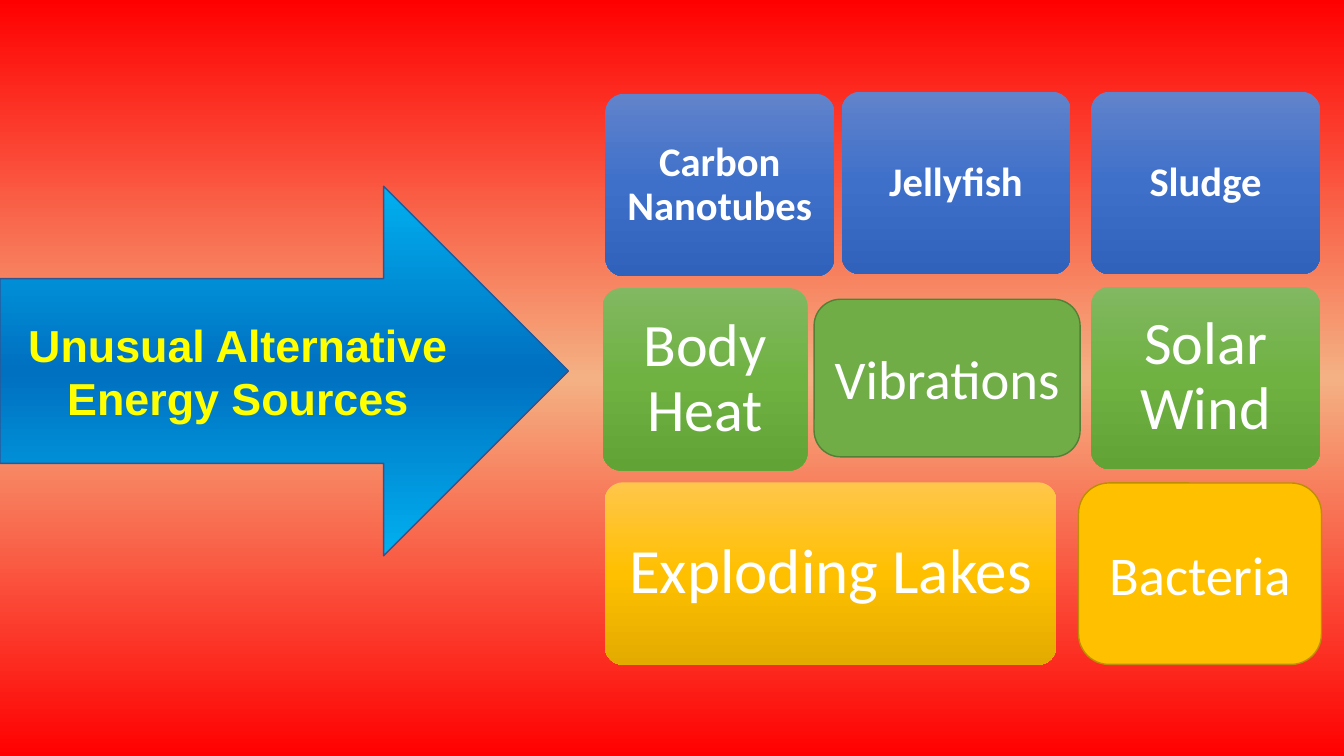
"""Build the slide on unusual alternative energy sources."""
from copy import deepcopy
from dataclasses import dataclass

from pptx import Presentation
from pptx.dml.color import RGBColor
from pptx.dml.fill import FillFormat
from pptx.enum.shapes import MSO_SHAPE
from pptx.enum.text import MSO_ANCHOR, PP_ALIGN
from pptx.shapes.autoshape import Shape
from pptx.slide import Slide
from pptx.util import Pt

COLORS = {
    "red": "FF0000", "peach": "F4B183",
    "sky": "00B0F0", "deep_blue": "0070C0", "navy": "325491",
    "blue_top": "6183CB", "blue": "3E70CA", "blue_low": "3062BB",
    "green_top": "81B861", "green": "6FB242", "green_low": "62A336",
    "gold_top": "FFC64B", "gold": "FFC000", "gold_low": "E3AB00",
    "leaf": "70AD47", "leaf_edge": "538035", "gold_edge": "BD8E00",
    "white": "FFFFFF", "yellow": "FFFF00",
}
BLUES = ("blue_top", "blue", "blue_low")
GREENS = ("green_top", "green", "green_low")
GOLDS = ("gold_top", "gold", "gold_low")


@dataclass(frozen=True)
class Tile:
    """A rounded energy source tile, measured in points."""
    text: str
    left: float
    top: float
    width: float
    height: float
    size: float
    fill: tuple[str, ...]
    line: str | None = None
    bold: bool = False
    spacing: float = 0.9
    corner: float = 0.1


TILES = [
    Tile("Exploding Lakes", 432, 344.5, 322.5, 130.3, 45, GOLDS),
    Tile("Body Heat", 430.6, 205.8, 146.2, 130.3, 43, GREENS),
    Tile("Carbon Nanotubes", 432.5, 67, 163.4, 130.3, 29, BLUES, bold=True),
    Tile("Jellyfish", 601.3, 65.5, 163.4, 130.3, 29, BLUES, bold=True),
    Tile("Solar Wind", 779.5, 204.8, 163.4, 130.3, 43, GREENS),
    Tile("Sludge", 779.5, 65.5, 163.4, 130.3, 29, BLUES, bold=True),
    Tile("Vibrations", 581.5, 213.8, 190, 112.5, 39, ("leaf",), "leaf_edge",
         spacing=1.0, corner=0.167),
    Tile("Bacteria", 770.4, 345, 173.5, 129.6, 39, ("gold",), "gold_edge",
         spacing=1.0, corner=0.167),
]


def rgb(name: str) -> RGBColor:
    """Return the named colour."""
    return RGBColor.from_string(COLORS[name])


def paint(fill: FillFormat, names: tuple[str, ...]) -> None:
    """Apply a solid fill, or a downward gradient of three colours."""
    if len(names) == 1:
        fill.solid()
        fill.fore_color.rgb = rgb(names[0])
        return
    fill.gradient()
    fill.gradient_angle = 270
    first = fill.gradient_stops[0]._gs
    first.addnext(deepcopy(first))
    for i, (stop, name) in enumerate(zip(fill.gradient_stops, names)):
        stop.position = i / 2
        stop.color.rgb = rgb(name)


def write(sp: Shape, text: str, *, size: float, color: str = "white",
          font: str = "Calibri", bold: bool = False, spacing: float = 1.0) -> None:
    """Write centred text into a shape."""
    tf = sp.text_frame
    tf.word_wrap = True
    tf.vertical_anchor = MSO_ANCHOR.MIDDLE
    p = tf.paragraphs[0]
    p.alignment = PP_ALIGN.CENTER
    p.line_spacing = spacing
    p.space_before = Pt(0)
    r = p.add_run()
    r.text = text
    r.font.name = font
    r.font.size = Pt(size)
    r.font.bold = bold
    r.font.color.rgb = rgb(color)


def add_shape(s: Slide, kind: MSO_SHAPE, left: float, top: float, width: float,
              height: float, fill: tuple[str, ...], line: str | None) -> Shape:
    """Add a filled shape with an optional outline."""
    sp = s.shapes.add_shape(kind, Pt(left), Pt(top), Pt(width), Pt(height))
    sp.shadow.inherit = False
    paint(sp.fill, fill)
    if line:
        sp.line.color.rgb = rgb(line)
        sp.line.width = Pt(1)
    else:
        sp.line.fill.background()
    return sp


def add_tile(s: Slide, tile: Tile) -> None:
    """Draw one energy source tile."""
    sp = add_shape(s, MSO_SHAPE.ROUNDED_RECTANGLE, tile.left, tile.top,
                   tile.width, tile.height, tile.fill, tile.line)
    sp.adjustments[0] = tile.corner
    write(sp, tile.text, size=tile.size, bold=tile.bold, spacing=tile.spacing)


def add_title_arrow(s: Slide) -> None:
    """Draw the arrow and lay the slide title over it."""
    top, width, height = 133, 406, 264
    add_shape(s, MSO_SHAPE.RIGHT_ARROW, 0, top, width, height,
              ("sky", "deep_blue", "sky"), "navy")
    title = s.shapes.title
    title.left, title.top = Pt(0), Pt(top + height / 4)
    title.width, title.height = Pt(width - height / 4), Pt(height / 2)
    s.shapes._spTree.append(title._element)
    write(title, "Unusual Alternative Energy Sources", size=32,
          color="yellow", font="Arial", bold=True)


def main() -> None:
    """Build and save the presentation."""
    prs = Presentation()
    prs.slide_width, prs.slide_height = Pt(960), Pt(540)
    s = prs.slides.add_slide(prs.slide_layouts[5])
    paint(s.background.fill, ("red", "peach", "red"))
    for tile in TILES:
        add_tile(s, tile)
    add_title_arrow(s)
    prs.save("out.pptx")


if __name__ == "__main__":
    main()
